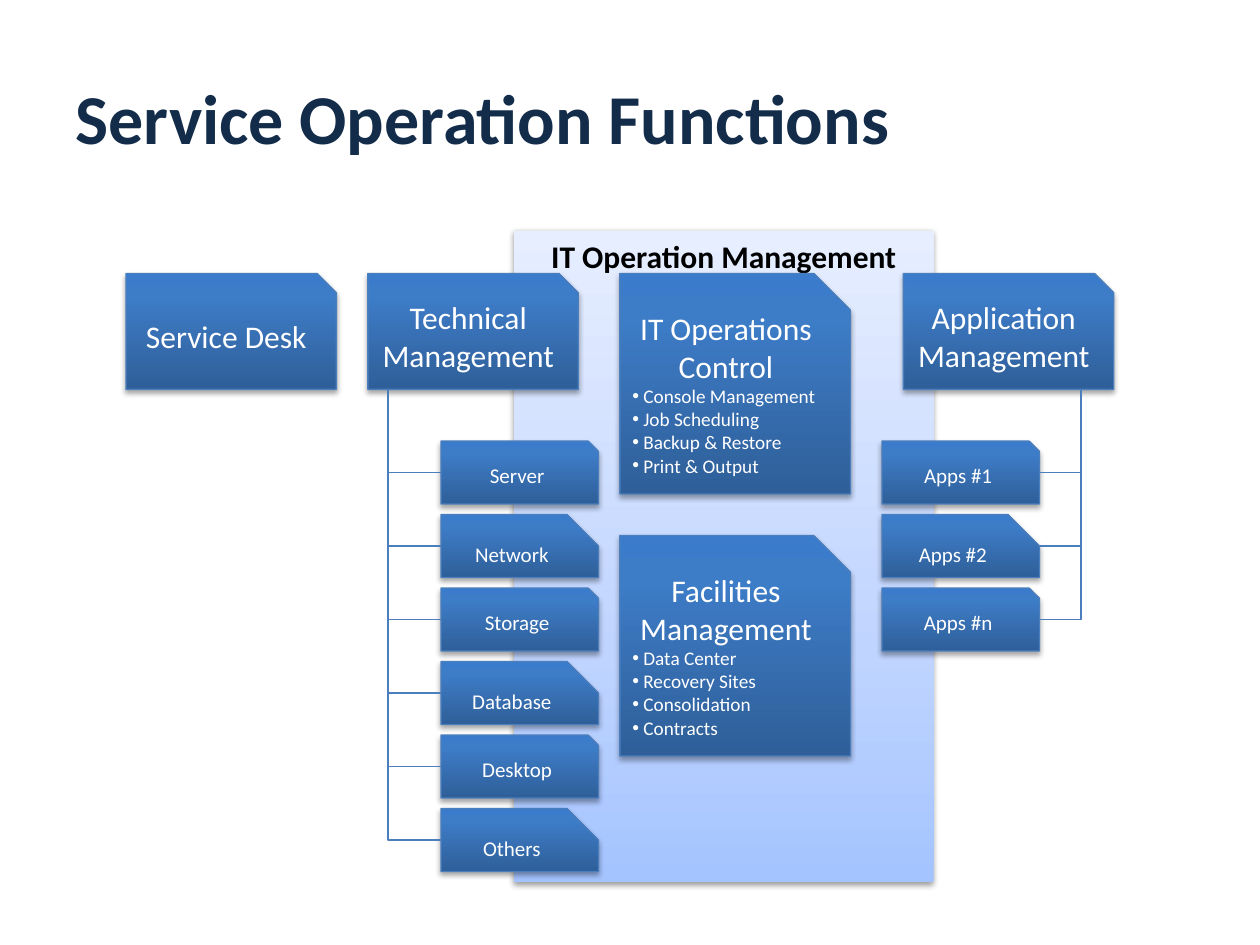
from dataclasses import dataclass
from typing import NamedTuple

from lxml import etree
from pptx import Presentation
from pptx.dml.color import RGBColor
from pptx.enum.dml import MSO_FILL
from pptx.enum.shapes import MSO_CONNECTOR, MSO_SHAPE
from pptx.enum.text import MSO_ANCHOR, PP_ALIGN
from pptx.oxml.ns import qn
from pptx.util import Inches, Pt

RECT, SNIPPED = MSO_SHAPE.RECTANGLE, MSO_SHAPE.SNIP_1_RECTANGLE
ELBOW = MSO_CONNECTOR.ELBOW
TOP, MIDDLE = MSO_ANCHOR.TOP, MSO_ANCHOR.MIDDLE
LEFT, CENTER = PP_ALIGN.LEFT, PP_ALIGN.CENTER
GRADIENT = MSO_FILL.GRADIENT
TITLE_ONLY = 5


@dataclass(frozen=True)
class Theme:
    """Colours, type sizes and line width of the slide."""
    font: str = "Calibri"
    title: str = "132C4A"
    heading: str = "000000"
    card_text: str = "FFFFFF"
    outline: str = "4B7EBC"
    shadow: str = "000000"
    card_fill: tuple = ((0, "2F5F99"), (80, "3D7CC7"), (100, "3A7CCB"))
    panel_fill: tuple = ((0, "A4C4FF"), (35, "BFD4FF"), (100, "E6EEFF"))
    title_size: int = 40
    heading_size: int = 18
    unit_size: int = 12
    duty_size: int = 11
    line_width: float = 0.75


class Box(NamedTuple):
    """Left, top, width and height in inches."""
    left: float
    top: float
    width: float
    height: float

    @property
    def right(self):
        """Right edge."""
        return self.left + self.width

    @property
    def bottom(self):
        """Bottom edge."""
        return self.top + self.height

    def emu(self):
        """Lengths for the shape methods."""
        return [Inches(length) for length in self]


THEME = Theme()
UNIT_WIDTH, UNIT_HEIGHT, UNIT_PITCH = 1.25, 0.5, 7 / 12


def add_run(paragraph, text, size, color, bold=False):
    """Add one formatted run."""
    run = paragraph.add_run()
    run.text = text
    run.font.name = THEME.font
    run.font.size = Pt(size)
    run.font.bold = bold
    run.font.color.rgb = RGBColor.from_string(color)


def fill_upward(shape, stops):
    """Fill a shape with a gradient that runs from bottom to top."""
    shape.fill.gradient()
    assert shape.fill.type == GRADIENT
    shape.fill.gradient_angle = 90
    stop_list = shape._element.spPr.find(qn("a:gradFill")).find(qn("a:gsLst"))
    for stop in list(stop_list):
        stop_list.remove(stop)
    for position, color in stops:
        stop = etree.SubElement(stop_list, qn("a:gs"), pos=str(position * 1000))
        etree.SubElement(stop, qn("a:srgbClr"), val=color)


def drop_shadow(shape, opacity, distance):
    """Cast a soft shadow straight down."""
    shape.shadow.inherit = False
    effects = shape._element.spPr.find(qn("a:effectLst"))
    shadow = etree.SubElement(
        effects, qn("a:outerShdw"), blurRad=str(Pt(3.1)), dist=str(Pt(distance)),
        dir="5400000", rotWithShape="0")
    color = etree.SubElement(shadow, qn("a:srgbClr"), val=THEME.shadow)
    etree.SubElement(color, qn("a:alpha"), val=str(opacity * 1000))


def add_bullet(paragraph):
    """Give a paragraph a round bullet without indent."""
    properties = paragraph._p.get_or_add_pPr()
    properties.set("marL", "0")
    properties.set("indent", "0")
    etree.SubElement(properties, qn("a:buFont"), typeface="Arial")
    etree.SubElement(properties, qn("a:buChar"), char="•")


def add_title(slide, box, text):
    """Place the slide title."""
    title = slide.shapes.title
    title.left, title.top, title.width, title.height = box.emu()
    title.text_frame.vertical_anchor = MIDDLE
    paragraph = title.text_frame.paragraphs[0]
    paragraph.alignment = LEFT
    add_run(paragraph, text, THEME.title_size, THEME.title, bold=True)


def add_panel(slide, box, heading):
    """Place the light panel with its heading at the top."""
    panel = slide.shapes.add_shape(RECT, *box.emu())
    fill_upward(panel, THEME.panel_fill)
    panel.line.fill.background()
    drop_shadow(panel, 38, 1.6)
    panel.text_frame.vertical_anchor = TOP
    paragraph = panel.text_frame.paragraphs[0]
    paragraph.alignment = CENTER
    add_run(paragraph, heading, THEME.heading_size, THEME.heading, bold=True)


def add_card(slide, box, heading, size=THEME.heading_size, duties=(), snip=None):
    """Place a snipped card with a heading and optional duties."""
    card = slide.shapes.add_shape(SNIPPED, *box.emu())
    if snip is not None:
        card.adjustments[0] = snip
    fill_upward(card, THEME.card_fill)
    card.line.color.rgb = RGBColor.from_string(THEME.outline)
    card.line.width = Pt(THEME.line_width)
    drop_shadow(card, 35, 1.8)
    frame = card.text_frame
    frame.vertical_anchor = MIDDLE
    frame.paragraphs[0].alignment = CENTER
    add_run(frame.paragraphs[0], heading, size, THEME.card_text)
    for duty in duties:
        paragraph = frame.add_paragraph()
        paragraph.alignment = LEFT
        add_bullet(paragraph)
        add_run(paragraph, " " + duty, THEME.duty_size, THEME.card_text)


def add_branch(slide, start, end):
    """Draw an elbow that leaves sideways and then rises to its end."""
    branch = slide.shapes.add_connector(
        ELBOW, *[Inches(length) for length in (*start, *end)])
    properties = branch._element.spPr
    properties.find(qn("a:prstGeom")).set("prst", "bentConnector2")
    branch.line.color.rgb = RGBColor.from_string(THEME.outline)
    branch.line.width = Pt(THEME.line_width)
    etree.SubElement(properties, qn("a:effectLst"))


def add_department(slide, box, heading, units, units_left, trunk):
    """Place a department card and the units that hang from its trunk."""
    add_card(slide, box, heading)
    for row, unit in enumerate(units):
        unit_box = Box(units_left, 3.5 + row * UNIT_PITCH, UNIT_WIDTH, UNIT_HEIGHT)
        add_card(slide, unit_box, unit, THEME.unit_size, snip=0.5 if row % 2 else None)
        side = unit_box.left if trunk < unit_box.left else unit_box.right
        middle = unit_box.top + UNIT_HEIGHT / 2
        add_branch(slide, (side, middle), (trunk, box.bottom))


def main():
    """Build the slide and save it."""
    deck = Presentation()
    deck.slide_width, deck.slide_height = Inches(10), Inches(7.5)
    slide = deck.slides.add_slide(deck.slide_layouts[TITLE_ONLY])

    add_panel(slide, Box(4.08, 1.83, 3.33, 5.17), "IT Operation Management")
    add_title(slide, Box(0.5, 0.3, 9, 1.25), "Service Operation Functions")
    add_card(slide, Box(1, 2.17, 1.67, 0.92), "Service Desk")
    add_department(
        slide, Box(2.92, 2.17, 1.67, 0.92), "Technical Management",
        ("Server", "Network", "Storage", "Database", "Desktop", "Others"), 3.5, 3.08)
    add_card(
        slide, Box(4.92, 2.17, 1.83, 1.75), "IT Operations Control",
        duties=("Console Management", "Job Scheduling", "Backup & Restore", "Print & Output"))
    add_card(
        slide, Box(4.92, 4.25, 1.83, 1.75), "Facilities Management",
        duties=("Data Center", "Recovery Sites", "Consolidation", "Contracts"))
    add_department(
        slide, Box(7.17, 2.17, 1.67, 0.92), "Application Management",
        ("Apps #1", "Apps #2", "Apps #n"), 7, 8.58)
    deck.save("out.pptx")


if __name__ == "__main__":
    main()
